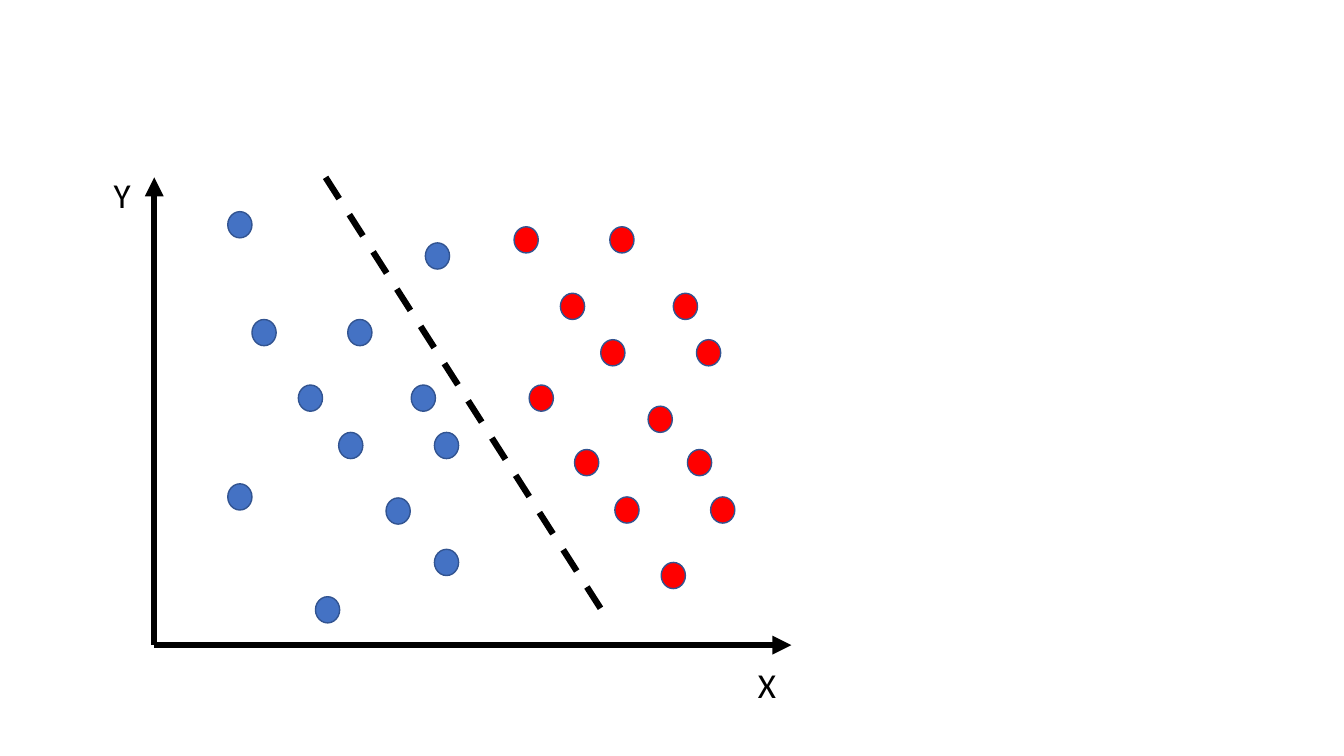
from lxml.etree import SubElement
from pptx import Presentation
from pptx.dml.color import RGBColor
from pptx.enum.dml import MSO_LINE
from pptx.enum.shapes import MSO_CONNECTOR, MSO_SHAPE
from pptx.enum.text import MSO_AUTO_SIZE
from pptx.oxml.ns import qn
from pptx.util import Inches, Pt

COLORS = {"ink": "000000", "blue": "4472C4", "red": "FF0000", "rim": "325491"}
COLS, ROWS = 133.33, 75  # grid of tenth-inch cells
DOT = (2.4, 2.6)
LABEL = (5.7, 5.2)
ORIGIN = (15.3, 64)
X_TIP = (78.5, 64)
Y_TIP = (15.3, 17.6)
SPLIT = ((32.3, 17.6), (60.5, 61.8))

# Left and top of each dot, in grid cells
CLASSES = {
    "blue": [(22.6, 21), (25, 31.7), (42.2, 24.1), (34.5, 31.7),
             (29.6, 38.2), (40.8, 38.2), (43.1, 54.5), (22.6, 48),
             (33.6, 42.9), (43.1, 42.9), (38.3, 49.4), (31.3, 59.2)],
    "red": [(51, 22.5), (60.5, 22.5), (55.6, 29.1), (66.8, 29.1),
            (52.5, 38.2), (59.6, 33.7), (69.1, 33.7), (64.3, 40.3),
            (57, 44.6), (68.2, 44.6), (61, 49.3), (70.5, 49.3),
            (65.6, 55.8)],
}


def cells(*counts):
    """Turn counts of grid cells into lengths."""
    return [Inches(count / 10) for count in counts]


def color(name):
    """Look up a named colour."""
    return RGBColor.from_string(COLORS[name])


def add_line(slide, start, end, arrow=False, dash=False):
    """Draw a thick line, with an arrowhead or dashes if asked."""
    link = slide.shapes.add_connector(
        MSO_CONNECTOR.STRAIGHT, *cells(*start, *end))
    link.line.width = Pt(4.5)
    link.line.color.rgb = color("ink")
    if dash:
        link.line.dash_style = MSO_LINE.DASH
    props = link.element.spPr
    if arrow:
        SubElement(props.find(qn("a:ln")), qn("a:tailEnd"), type="triangle")
    SubElement(props, qn("a:effectLst"))


def add_dot(slide, spot, fill):
    """Draw one data point."""
    dot = slide.shapes.add_shape(MSO_SHAPE.OVAL, *cells(*spot, *DOT))
    dot.shadow.inherit = False
    dot.fill.solid()
    dot.fill.fore_color.rgb = color(fill)
    dot.line.color.rgb = color("rim")
    dot.line.width = Pt(1)


def add_label(slide, spot, text):
    """Write the name of an axis."""
    frame = slide.shapes.add_textbox(*cells(*spot, *LABEL)).text_frame
    frame.word_wrap = True
    frame.auto_size = MSO_AUTO_SIZE.SHAPE_TO_FIT_TEXT
    run = frame.paragraphs[0].add_run()
    run.text = text
    run.font.name = "Calibri"
    run.font.size = Pt(25)
    run.font.color.rgb = color("ink")


def main():
    """Build the scatter of two classes and save it."""
    deck = Presentation()
    deck.slide_width, deck.slide_height = cells(COLS, ROWS)
    slide = deck.slides.add_slide(deck.slide_layouts[6])
    for tip in (X_TIP, Y_TIP):
        add_line(slide, ORIGIN, tip, arrow=True)
    for fill, spots in CLASSES.items():
        for spot in spots:
            add_dot(slide, spot, fill)
    add_line(slide, *SPLIT, dash=True)
    add_label(slide, (10.3, 16.7), "Y")
    add_label(slide, (74.2, 65.3), "X")
    deck.save("out.pptx")


main()
